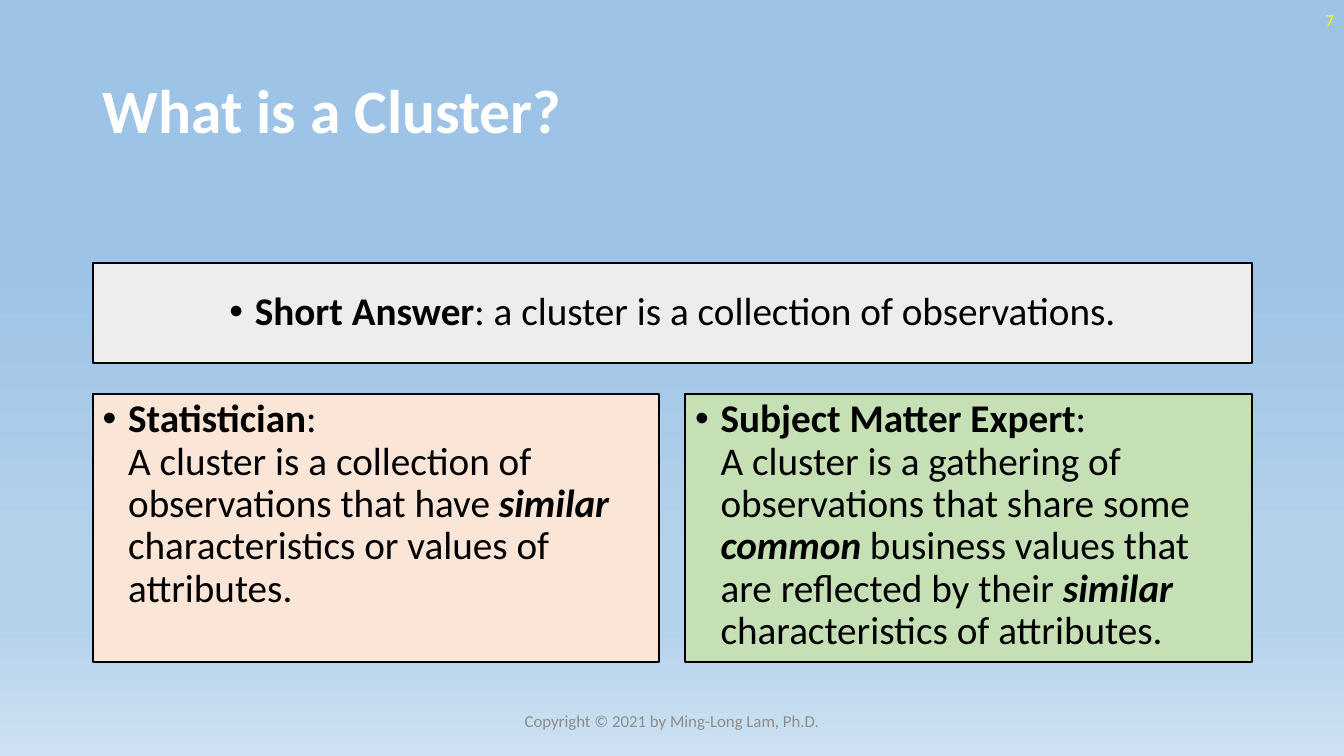
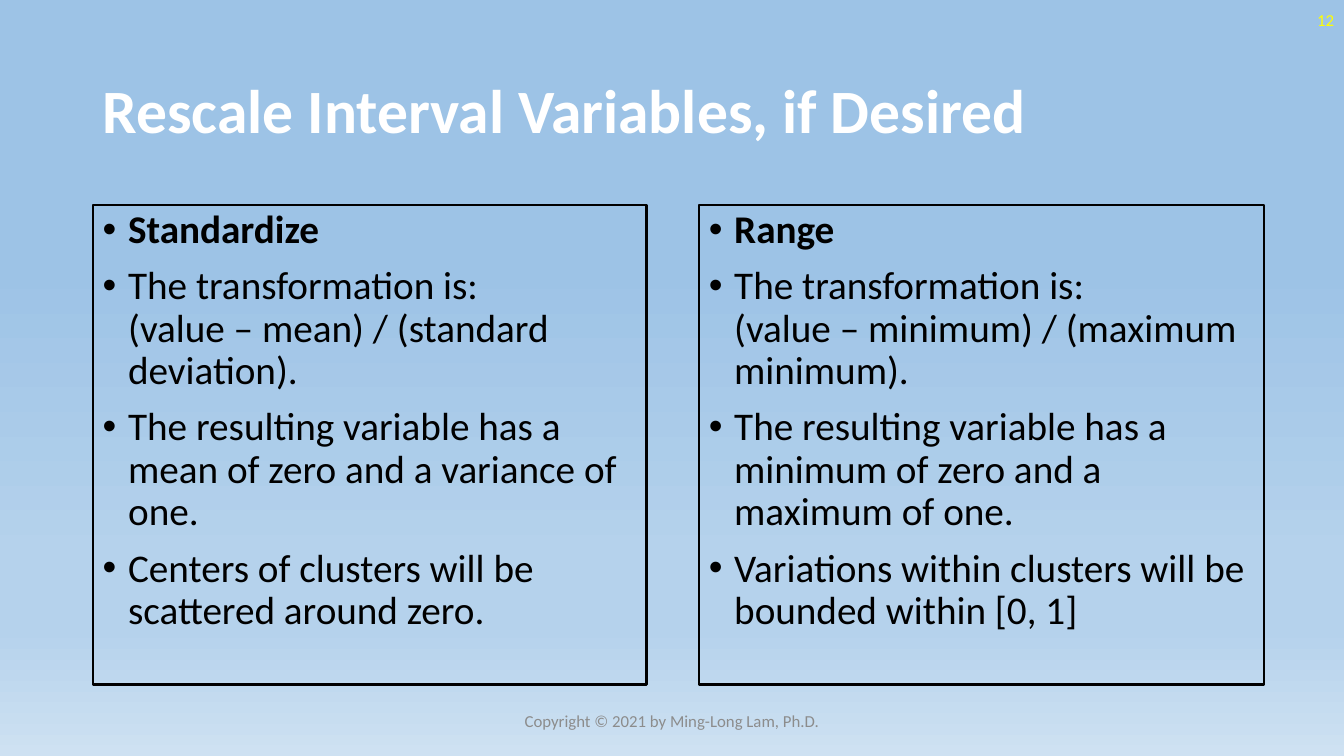
from dataclasses import dataclass

from lxml import etree
from pptx import Presentation
from pptx.dml.color import RGBColor
from pptx.enum.shapes import MSO_SHAPE
from pptx.enum.text import MSO_ANCHOR, PP_ALIGN
from pptx.oxml.ns import qn
from pptx.util import Cm, Pt

RECTANGLE = MSO_SHAPE.RECTANGLE
TOP, MIDDLE = MSO_ANCHOR.TOP, MSO_ANCHOR.MIDDLE
LEFT, CENTER, RIGHT = PP_ALIGN.LEFT, PP_ALIGN.CENTER, PP_ALIGN.RIGHT

FONT = "Calibri"
WHITE, BLACK, YELLOW, GRAY = "FFFFFF", "000000", "FFFF00", "8C8C8C"
PALE_GRAY, PEACH, GREEN = "EDEDED", "FBE5D6", "C5E0B4"
SKY_STOPS = [(35, "9DC3E6"), (74, "B5D2EC"), (83, "B5D2EC"), (100, "CEE1F2")]
TITLE_SIZE, BODY_SIZE, SMALL_SIZE = 44, 28, 12
LINE_SPACING = 0.9
BULLET_INDENT = Cm(0.64)
FOOTER = "Copyright © 2021 by Ming-Long Lam, Ph.D."


@dataclass
class Box:
    """A region of the slide, in centimetres."""
    left: float
    top: float
    width: float
    height: float

    def lengths(self):
        """Return the four lengths that python-pptx expects."""
        return Cm(self.left), Cm(self.top), Cm(self.width), Cm(self.height)

    def columns(self, gap, left_share=0.5):
        """Split the box into two columns with a gap between them."""
        left_width = (self.width - gap) * left_share
        right_left = self.left + left_width + gap
        right_width = self.width - left_width - gap
        return (Box(self.left, self.top, left_width, self.height),
                Box(right_left, self.top, right_width, self.height))


SLIDE_BOX = Box(0, 0, 33.87, 19.05)
TITLE_BOX = Box(2.34, 1.02, 29.21, 3.68)
NUMBER_BOX = Box(26.25, 0, 7.62, 1.02)
FOOTER_BOX = Box(11.22, 17.65, 11.43, 1.02)
ANSWER_BOX = Box(2.34, 6.63, 29.21, 2.51)
VIEWS_BOX = Box(2.34, 9.93, 29.21, 6.76)
METHODS_BOX = Box(2.34, 5.16, 29.51, 12.09)


def color(value):
    """Turn a hex string into a colour."""
    return RGBColor.from_string(value)


def format_run(run, size, value, bold=False, italic=False):
    """Give a run its font, size, colour and emphasis."""
    font = run.font
    font.name, font.size = FONT, Pt(size)
    font.bold, font.italic = bold, italic
    font.color.rgb = color(value)


def paint_background(master):
    """Give every slide the sky gradient through the master."""
    fill = master.background.fill
    fill.gradient()
    fill.gradient_angle = 270
    stops = master.element.find(".//" + qn("p:bg")).find(".//" + qn("a:gsLst"))
    for stop in list(stops):
        stops.remove(stop)
    for position, value in SKY_STOPS:
        stop = etree.SubElement(stops, qn("a:gs"), pos=str(position * 1000))
        etree.SubElement(stop, qn("a:srgbClr"), val=value)


def add_label(slide, box, text, size, value, alignment=LEFT, bold=False):
    """Place one line of text, centred vertically in its box."""
    text_frame = slide.shapes.add_textbox(*box.lengths()).text_frame
    text_frame.word_wrap = True
    text_frame.vertical_anchor = MIDDLE
    text_frame.text = text
    paragraph = text_frame.paragraphs[0]
    paragraph.alignment = alignment
    paragraph.line_spacing = LINE_SPACING if size == TITLE_SIZE else 1.0
    format_run(paragraph.runs[0], size, value, bold)


def add_bullet(paragraph):
    """Give a paragraph a round bullet with a hanging indent."""
    properties = paragraph._p.get_or_add_pPr()
    properties.set("marL", str(BULLET_INDENT))
    properties.set("indent", str(-BULLET_INDENT))
    etree.SubElement(properties, qn("a:buFont"), typeface="Arial")
    etree.SubElement(properties, qn("a:buChar"), char="•")


def fill_paragraph(paragraph, parts, alignment):
    """Write (text, emphasis) parts; emphasis holds b for bold, i for italic."""
    paragraph.alignment = alignment
    paragraph.line_spacing = LINE_SPACING
    paragraph.space_before = Pt(10)
    add_bullet(paragraph)
    for text, emphasis in parts:
        for index, line in enumerate(text.split("\n")):
            if index:
                paragraph.add_line_break()
            run = paragraph.add_run()
            run.text = line
            format_run(run, BODY_SIZE, BLACK, "b" in emphasis, "i" in emphasis)


def add_panel(slide, box, bullets, fill=None, anchor=TOP, alignment=LEFT):
    """Place an outlined panel of bullets."""
    shape = slide.shapes.add_shape(RECTANGLE, *box.lengths())
    shape.shadow.inherit = False
    if fill:
        shape.fill.solid()
        shape.fill.fore_color.rgb = color(fill)
    else:
        shape.fill.background()
    shape.line.color.rgb = color(BLACK)
    shape.line.width = Pt(1.5)
    text_frame = shape.text_frame
    text_frame.word_wrap = True
    text_frame.vertical_anchor = anchor
    for index, parts in enumerate(bullets):
        paragraph = text_frame.add_paragraph() if index else text_frame.paragraphs[0]
        fill_paragraph(paragraph, parts, alignment)


def add_base_slide(presentation, title, number):
    """Add a slide with its title, number and footer."""
    slide = presentation.slides.add_slide(presentation.slide_layouts[6])
    add_label(slide, TITLE_BOX, title, TITLE_SIZE, WHITE, bold=True)
    add_label(slide, NUMBER_BOX, str(number), SMALL_SIZE, YELLOW, RIGHT)
    add_label(slide, FOOTER_BOX, FOOTER, SMALL_SIZE, GRAY, CENTER)
    return slide


def build_cluster_slide(presentation):
    """Build the definition slide: a short answer above two views."""
    slide = add_base_slide(presentation, "What is a Cluster?", 7)
    answer = [("Short Answer", "b"),
              (": a cluster is a collection of observations.", "")]
    add_panel(slide, ANSWER_BOX, [answer], PALE_GRAY, MIDDLE, CENTER)
    statistician = [
        ("Statistician", "b"),
        (":\nA cluster is a collection of observations that have ", ""),
        ("similar", "bi"),
        (" characteristics or values of attributes.", "")]
    expert = [
        ("Subject Matter Expert", "b"),
        (":\nA cluster is a gathering of observations that share some ", ""),
        ("common", "bi"),
        (" business values that are reflected by their ", ""),
        ("similar", "bi"),
        (" characteristics of attributes.", "")]
    left_box, right_box = VIEWS_BOX.columns(gap=0.65)
    add_panel(slide, left_box, [statistician], PEACH)
    add_panel(slide, right_box, [expert], GREEN)


def build_rescale_slide(presentation):
    """Build the comparison slide of two rescaling methods."""
    slide = add_base_slide(presentation, "Rescale Interval Variables, if Desired", 12)
    methods = [
        ("Standardize",
         "The transformation is:\n(value – mean) / (standard deviation).",
         "The resulting variable has a mean of zero and a variance of one.",
         "Centers of clusters will be scattered around zero."),
        ("Range",
         "The transformation is:\n(value – minimum) / (maximum minimum).",
         "The resulting variable has a minimum of zero and a maximum of one.",
         "Variations within clusters will be bounded within [0, 1]")]
    boxes = METHODS_BOX.columns(gap=1.32, left_share=0.495)
    for box, (name, *facts) in zip(boxes, methods):
        bullets = [[(name, "b")]] + [[(fact, "")] for fact in facts]
        add_panel(slide, box, bullets)


def main():
    """Build and save the presentation."""
    presentation = Presentation()
    presentation.slide_width = Cm(SLIDE_BOX.width)
    presentation.slide_height = Cm(SLIDE_BOX.height)
    paint_background(presentation.slide_master)
    build_cluster_slide(presentation)
    build_rescale_slide(presentation)
    presentation.save("out.pptx")


main()
